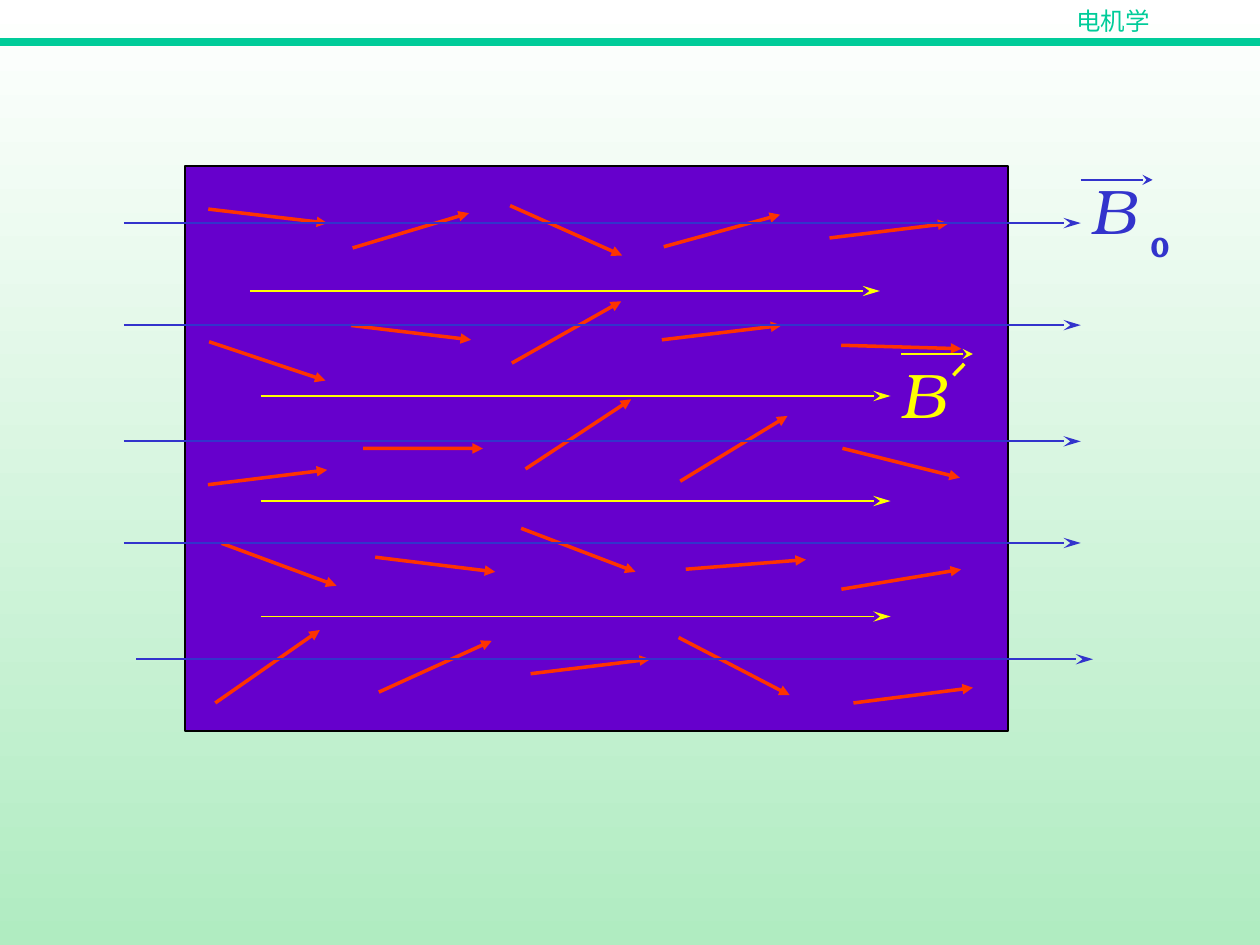
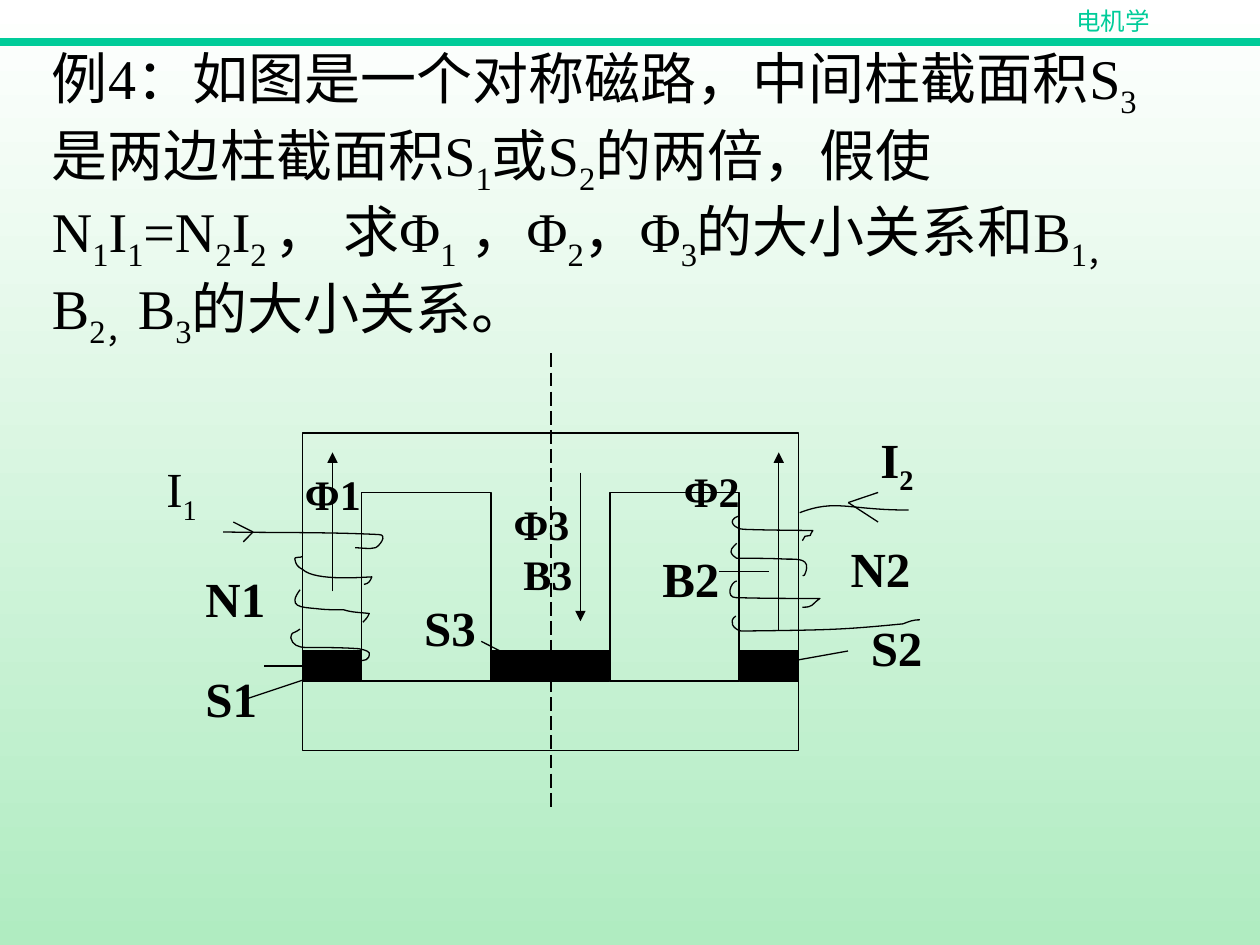
import pptx
import pptx.util
import pptx.oxml
import pptx.oxml.ns
import pptx.dml.color
import pptx.enum.dml
import pptx.enum.shapes
import pptx.enum.text
from lxml import etree

Pt = pptx.util.Pt
RGBColor = pptx.dml.color.RGBColor
Align = pptx.enum.text.PP_ALIGN
Anchor = pptx.enum.text.MSO_ANCHOR
qn = pptx.oxml.ns.qn

WHITE = RGBColor(0xFF, 0xFF, 0xFF)
MINT = RGBColor(0xB0, 0xEC, 0xC1)
GREEN = RGBColor(0x00, 0xCC, 0x99)
BLACK = RGBColor(0x00, 0x00, 0x00)
PURPLE = RGBColor(0x66, 0x00, 0xCC)
RED = RGBColor(0xFF, 0x33, 0x00)
BLUE = RGBColor(0x33, 0x33, 0xCC)
YELLOW = RGBColor(0xFF, 0xFF, 0x00)

SERIF = "Times New Roman"
SYMBOL = "TeX Gyre Bonum"
TITLE_ONLY, BLANK = 5, 6
LEFT_SIDE = 1


def apply(target, values):
    for name, value in values.items():
        setattr(target, name, value)


class Lecture:
    def __init__(self):
        self.deck = pptx.Presentation()
        apply(self.deck, {"slide_width": Pt(720), "slide_height": Pt(540)})
        fill = self.deck.slide_master.background.fill
        fill.gradient()
        fill.gradient_angle = 270
        for stop, color in zip(fill.gradient_stops, (WHITE, MINT)):
            stop.color.rgb = color

    def new_page(self, layout):
        self.page = self.deck.slides.add_slide(self.deck.slide_layouts[layout])
        if len(self.deck.slides) == 1:
            self.furnish_master()

    def furnish_master(self):
        """Draw the band and course name on the empty first page, then move them to the master."""
        self.line((0, 24), (720, 24), GREEN, 4.5)
        self.text("电机学", (582, 0, 108, 24.5), 14, GREEN, align=Align.CENTER)
        tree = self.deck.slide_master.shapes._spTree
        for number, shape in enumerate(list(self.page.shapes), 100):
            shape._element.xpath(".//p:cNvPr")[0].set("id", str(number))
            tree.append(shape._element)

    def spans(self, frame, text, size, color, font=SERIF, align=Align.LEFT, **style):
        """Fill one paragraph; every second part between bars is a subscript."""
        para = frame.paragraphs[0]
        para.alignment = align
        for index, part in enumerate(text.split("|")):
            if not part:
                continue
            span = para.add_run()
            span.text = part
            apply(span.font, {"name": font, "size": Pt(size), **style})
            span.font.color.rgb = color
            if index % 2:
                span.font._element.set("baseline", "-25000")

    def text(self, text, area, size, color, **style):
        box = self.page.shapes.add_textbox(*map(Pt, area))
        box.text_frame.word_wrap = True
        self.spans(box.text_frame, text, size, color, **style)

    def title(self, text, area):
        title = self.page.shapes.title
        places = ("left", "top", "width", "height")
        apply(title, dict(zip(places, map(Pt, area))))
        apply(title.text_frame, {"auto_size": pptx.enum.text.MSO_AUTO_SIZE.NONE,
                                 "vertical_anchor": Anchor.MIDDLE, "word_wrap": True})
        self.spans(title.text_frame, text, 32, BLACK)

    def outline(self, shape, color, width):
        shape.line.color.rgb = color
        shape.line.width = Pt(width)

    def rectangle(self, area, fill=None, width=0.75):
        kind = pptx.enum.shapes.MSO_SHAPE.RECTANGLE
        shape = self.page.shapes.add_shape(kind, *map(Pt, area))
        shape.shadow.inherit = False
        if fill is None:
            shape.fill.background()
        else:
            shape.fill.solid()
            shape.fill.fore_color.rgb = fill
        self.outline(shape, BLACK, width)
        return shape

    def line(self, start, end, color=BLACK, width=0.75, head=None, dash=None):
        straight = pptx.enum.shapes.MSO_CONNECTOR.STRAIGHT
        connector = self.page.shapes.add_connector(straight, *map(Pt, (*start, *end)))
        self.outline(connector, color, width)
        if dash:
            connector.line.dash_style = dash
        properties = connector._element.spPr
        if head:
            etree.SubElement(properties.find(qn("a:ln")), qn("a:tailEnd"), head)
        etree.SubElement(properties, qn("a:effectLst"))
        return connector

    def curve(self, points):
        """Draw a chain of cubic curves: a start, then triples of control, control, end."""
        first, *others = [(Pt(x), Pt(y)) for x, y in points]
        builder = self.page.shapes.build_freeform(*first)
        builder.add_line_segments(others, close=False)
        shape = builder.convert_to_shape()
        track = shape._element.find(".//" + qn("a:path"))
        segments = track.findall(qn("a:lnTo"))
        for index in range(0, len(segments), 3):
            cubic = etree.SubElement(track, qn("a:cubicBezTo"))
            for segment in segments[index:index + 3]:
                cubic.append(segment[0])
                track.remove(segment)
        shape.shadow.inherit = False
        shape.fill.background()
        self.outline(shape, BLACK, 0.75)


TRIANGLE = {"type": "triangle"}
STEALTH = {"type": "stealth"}
LONG_STEALTH = {"type": "stealth", "len": "lg"}

DIPOLES = [
    (119, 119.5, 187, 127.5), (201.5, 141.7, 268, 121.8), (291.5, 117.5, 355.5, 146),
    (379.3, 141, 445.8, 122.7), (474, 136, 542, 127.7),
    (119.5, 195.3, 186, 217.5), (200.8, 186, 269.2, 194.2), (292.5, 207.5, 355, 172.2),
    (378.2, 194.2, 446.5, 186), (480.7, 197.3, 549.4, 199.3),
    (118.8, 277, 187, 268.5), (207.5, 256.2, 276, 256.3), (300.3, 268, 360.7, 228.2),
    (388.7, 275, 450, 237.7), (481.4, 256.2, 548.5, 273),
    (126.7, 310.5, 192.3, 334.7), (214.4, 318.4, 283, 326.8), (297.8, 301.9, 363.2, 326.8),
    (391.9, 325.3, 460.6, 319.8), (480.8, 336.7, 549.2, 325.4),
    (123, 401.7, 182.8, 360), (216.5, 395.5, 281, 366.2), (303.2, 385, 371.5, 376.7),
    (387.8, 364.3, 451.3, 397.3), (487.7, 401.7, 556, 393),
]
OUTER_FIELD = [(70.8, 127.5), (70.8, 185.8), (70.8, 252.2), (70.8, 310.3), (77.8, 376.7)]
INNER_FIELD = [(142.8, 166.3), (148.9, 226.3), (148.9, 286.3), (148.9, 352.3)]

WINDINGS = [
    [(127.5, 304), (157, 304.5), (187, 304), (216.5, 305.5), (222, 305.5),
     (216.5, 312.5), (214.5, 313), (211, 314), (206.5, 313), (203, 313)],
    [(173, 318), (171.5, 319), (168, 318), (168.5, 319.5), (169, 322.5), (170, 324),
     (173, 325.5), (180.5, 332.5), (209.5, 329.7), (212.5, 329.7), (211.5, 332),
     (211, 333.5), (208, 334)],
    [(171.5, 337), (164, 347), (172, 347), (180.5, 347.8), (186, 348.5), (191, 348.5),
     (196.5, 348.5), (201, 350), (206, 350), (211, 350.6), (210, 353), (209, 354),
     (207.4, 355.6)],
    [(171.5, 359.5), (166.5, 363), (167, 360.5), (166.2, 364.5), (167, 368.5),
     (170.5, 370), (175, 370), (185, 370), (195, 370), (205, 370.7), (206, 371),
     (210, 371.5), (211, 373), (211.5, 377.5), (208, 377.5), (205, 377.5)],
    [(457, 293), (478, 285), (484.5, 291.5), (519.3, 291.5)],
    [(422, 295), (414.5, 297.5), (420.5, 302.5), (425, 302.5), (438, 303),
     (451.5, 303), (464.5, 303.2), (463.5, 304), (463.5, 305.5), (463, 306),
     (462, 306), (461, 306), (460, 306.5), (459.5, 307.5), (458.5, 309), (458.5, 309)],
    [(421, 310.5), (419, 312.5), (416, 314.5), (419, 317.5), (420, 318), (420.5, 319),
     (421, 319), (430.5, 319), (440, 319), (449.5, 319.5), (456, 319.5), (463.5, 319),
     (460.2, 327.5), (460, 328.5), (459.5, 329), (458.7, 329)],
    [(421, 332), (417.5, 332.5), (414.5, 341.5), (420.5, 341.5), (436.5, 342),
     (452, 342), (468.5, 342), (463.5, 345.5), (465, 347), (458.5, 347)],
    [(420.5, 352), (416, 355), (419, 359.5), (423.5, 360.6), (474, 360), (480, 360),
     (516, 356.5), (520, 355), (521.5, 354.2), (525.7, 354.2)],
]
LABELS = [
    ("Φ1", 167.2, 264.4, 51, 24), ("Φ3", 286.4, 281.5, 67.5, 24),
    ("B3", 292, 309.7, 51, 24), ("Φ2", 383.7, 262.3, 102, 24),
    ("S2", 490.5, 349.3, 67.5, 28), ("S3", 235.3, 337.8, 57, 28),
    ("B2", 371.4, 309.8, 62.5, 28), ("S1", 110.3, 378.3, 67.5, 28),
    ("N1", 110.3, 321.3, 67.5, 28), ("N2", 479, 304, 67.5, 28),
    ("I|1", 88, 258.7, 62.5, 28), ("I|2", 496, 242, 62.5, 28),
]
LEADERS = [
    ((451, 378), (484.6, 372)), ((275, 366.5), (297.5, 378)), ((139, 400), (190, 383)),
    ((411, 326.7), (439.3, 326.7)),
]
CURRENT_MARKS = [
    ((144.6, 304), (133.3, 298.3)), ((144.6, 304), (139, 309.7)),
    ((484.7, 287.2), (501.8, 281.4)), ((484.7, 287.2), (501.8, 298.3)),
]
FLUXES = [((190, 338), (190, 258.5)), ((445, 360.5), (445, 258.5)),
          ((331.7, 270), (331.7, 355))]
PROBLEM = ("例4：如图是一个对称磁路，中间柱截面积S|3|是两边柱截面积S|1|或S|2|的两倍，假使"
           "N|1|I|1|=N|2|I|2 |， 求Φ|1| ，Φ|2|，Φ|3|的大小关系和"
           "B|1，|B|2，|B|3|的大小关系。")


def draw_magnetised_block(lecture):
    lecture.new_page(BLANK)
    lecture.rectangle((105.8, 94.9, 470.2, 322.8), PURPLE, 1)
    for x1, y1, x2, y2 in DIPOLES:
        lecture.line((x1, y1), (x2, y2), RED, 2, TRIANGLE)
    for starts, length, color in ((OUTER_FIELD, 546.8, BLUE), (INNER_FIELD, 360, YELLOW)):
        for x, y in starts:
            lecture.line((x, y), (x + length, y), color, 1, LONG_STEALTH)
    for color, x, y, bar in ((BLUE, 616, 94.5, (617.5, 102.8)),
                             (YELLOW, 507.7, 199.5, (514.8, 202.3))):
        lecture.text("B", (x, y, 40.5, 50.5), 36, color, font=SYMBOL, italic=True)
        lecture.line(bar, (bar[0] + 41.2, bar[1]), color, 1, STEALTH)
    lecture.text("0", (650.4, 127.5, 25, 26.5), 16, BLUE, font=SYMBOL, bold=True)
    lecture.line((551, 208), (544.8, 214.4), YELLOW, 2)


def draw_magnetic_circuit(lecture):
    lecture.new_page(TITLE_ONLY)
    lecture.title(PROBLEM, (22.5, 67.5, 664, 90))
    lecture.rectangle((173, 247.4, 283.4, 181.4))
    for left in (206.7, 348.5):
        lecture.rectangle((left, 281.4, 73.9, 107.8))
    sections = [lecture.rectangle((left, 372, width, 17.2), BLACK)
                for left, width in ((173, 33.8), (280.6, 67.9), (422.4, 34))]
    for label, left, top, width, size in LABELS:
        lecture.text(label, (left, top, width, size * 1.45), size, BLACK,
                     bold=label != "I|1")
    for points in WINDINGS:
        lecture.curve(points)
    for start, end in LEADERS + CURRENT_MARKS:
        lecture.line(start, end)
    lecture.line((151, 380.6), (173, 380.6)).end_connect(sections[0], LEFT_SIDE)
    lecture.line((314.7, 202), (314.7, 463), width=1,
                 dash=pptx.enum.dml.MSO_LINE.LONG_DASH)
    for start, end in FLUXES:
        lecture.line(start, end, head=TRIANGLE)


def main():
    lecture = Lecture()
    draw_magnetised_block(lecture)
    draw_magnetic_circuit(lecture)
    lecture.deck.save("out.pptx")


if __name__ == "__main__":
    main()
